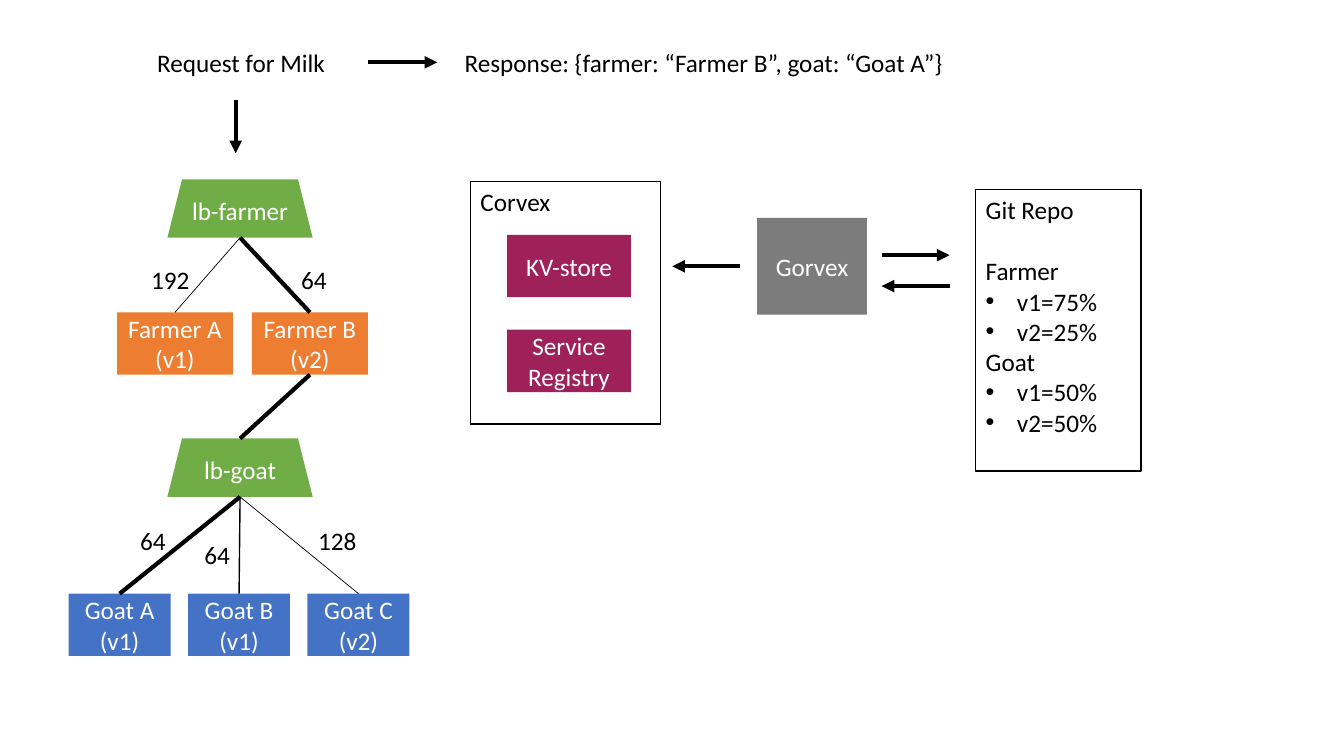
from pptx import Presentation
from pptx.util import Cm, Pt
from pptx.dml.color import RGBColor
from pptx.enum.shapes import MSO_SHAPE, MSO_CONNECTOR
from pptx.enum.text import MSO_ANCHOR, MSO_AUTO_SIZE, PP_ALIGN
from lxml import etree

RECT, TRAP = MSO_SHAPE.RECTANGLE, MSO_SHAPE.TRAPEZOID
LINE = MSO_CONNECTOR.STRAIGHT
TOP, MID = MSO_ANCHOR.TOP, MSO_ANCHOR.MIDDLE
LEFT, MIDDLE = PP_ALIGN.LEFT, PP_ALIGN.CENTER
GROW = MSO_AUTO_SIZE.SHAPE_TO_FIT_TEXT
NS = "http://schemas.openxmlformats.org/drawingml/2006/main"
GREEN, ORANGE, BLUE = "70AD47", "ED7D31", "4472C4"
PLUM, GRAY, BLACK, WHITE = "9F2159", "7C7C7C", "000000", "FFFFFF"

deck = Presentation()
deck.slide_width, deck.slide_height = Cm(33.87), Cm(19.05)
slide = deck.slides.add_slide(deck.slide_layouts[6])
shapes = slide.shapes


def write(frame, text, color, align):
    frame.text = text
    for para in frame.paragraphs:
        para.alignment = align
        para.font.name, para.font.size = "Calibri", Pt(18)
        para.font.color.rgb = RGBColor.from_string(color)


def wire(x1, y1, x2, y2, width, arrow=False):
    line = shapes.add_connector(LINE, Cm(x1), Cm(y1), Cm(x2), Cm(y2))
    line.line.color.rgb = RGBColor.from_string(BLACK)
    line.line.width = Pt(width)
    if arrow:
        ln = line.line._get_or_add_ln()
        etree.SubElement(ln, f"{{{NS}}}tailEnd", type="triangle")
    etree.SubElement(line._element.spPr, f"{{{NS}}}effectLst")
    return line


repo = "\n".join(["Git Repo", "Farmer", "v1=75%", "v2=25%",
                  "Goat", "v1=50%", "v2=50%"])
panels = [
    ("Corvex", 11.86, 4.57, 4.78, 6.12),
    (repo, 24.59, 4.78, 4.17, 7.09),
]
for text, x, y, w, h in panels:
    panel = shapes.add_shape(RECT, Cm(x), Cm(y), Cm(w), Cm(h))
    panel.shadow.inherit = False
    panel.fill.background()
    panel.line.color.rgb = RGBColor.from_string(BLACK)
    panel.line.width = Pt(1)
    panel.text_frame.vertical_anchor = TOP
    write(panel.text_frame, text, BLACK, LEFT)

rows = panel.text_frame.paragraphs
rows[0].space_after = Pt(22)
for row in rows:
    if row.text.startswith("v"):
        props = row._p.get_or_add_pPr()
        props.set("marL", str(Cm(0.79)))
        props.set("indent", str(-Cm(0.79)))
        etree.SubElement(props, f"{{{NS}}}buFont", typeface="Arial")
        etree.SubElement(props, f"{{{NS}}}buChar", char="•")

boxes = [
    ("lb-farmer", TRAP, GREEN, 4.22, 4.52, 3.66, 1.47),
    ("lb-goat", TRAP, GREEN, 4.22, 11.05, 3.66, 1.47),
    ("KV-store", RECT, PLUM, 12.78, 5.92, 3.12, 1.57),
    ("Service Registry", RECT, PLUM, 12.78, 8.31, 3.12, 1.57),
    ("Gorvex", RECT, GRAY, 19.08, 5.49, 2.77, 2.44),
]
for i, name in enumerate(["Farmer A (v1)", "Farmer B (v2)"]):
    boxes.append((name, RECT, ORANGE, 2.95 + 3.4 * i, 7.87, 2.92, 1.57))
for i, name in enumerate(["Goat A (v1)", "Goat B (v1)", "Goat C (v2)"]):
    boxes.append((name, RECT, BLUE, 1.73 + 3.01 * i, 14.96, 2.57, 1.57))

nodes = {}
for name, kind, color, x, y, w, h in boxes:
    box = shapes.add_shape(kind, Cm(x), Cm(y), Cm(w), Cm(h))
    box.shadow.inherit = False
    box.fill.solid()
    box.fill.fore_color.rgb = RGBColor.from_string(color)
    box.line.fill.background()
    box.text_frame.vertical_anchor = MID
    write(box.text_frame, name, WHITE, MIDDLE)
    nodes[name] = box

links = [
    ("lb-farmer", "Farmer A (v1)", 0.5),
    ("lb-farmer", "Farmer B (v2)", 3),
    ("Farmer B (v2)", "lb-goat", 3),
    ("lb-goat", "Goat A (v1)", 3),
    ("lb-goat", "Goat B (v1)", 1),
    ("lb-goat", "Goat C (v2)", 0.5),
]
for start, end, width in links:
    link = wire(0, 0, 1, 1, width)
    link.begin_connect(nodes[start], 2)
    link.end_connect(nodes[end], 0)

arrows = [
    (9.27, 1.57, 11.02, 1.57),
    (5.94, 2.51, 5.94, 3.86),
    (18.64, 6.71, 16.94, 6.71),
    (22.22, 6.43, 23.93, 6.43),
    (23.93, 7.21, 22.22, 7.21),
]
for ends in arrows:
    wire(*ends, 3, arrow=True)

labels = [
    ("Request for Milk", 3.71, 1.07, 4.8),
    ("Response: {farmer: “Farmer B”, goat: “Goat A”}", 11.46, 1.07, 12.7),
    ("192", 3.56, 6.53, 1.5),
    ("64", 7.34, 6.53, 1.17),
    ("64", 3.28, 13.11, 1.17),
    ("64", 4.9, 13.46, 1.17),
    ("128", 7.77, 13.11, 1.5),
]
for text, x, y, w in labels:
    label = shapes.add_textbox(Cm(x), Cm(y), Cm(w), Cm(1.02))
    label.text_frame.word_wrap = False
    label.text_frame.auto_size = GROW
    write(label.text_frame, text, BLACK, LEFT)

deck.save("out.pptx")
